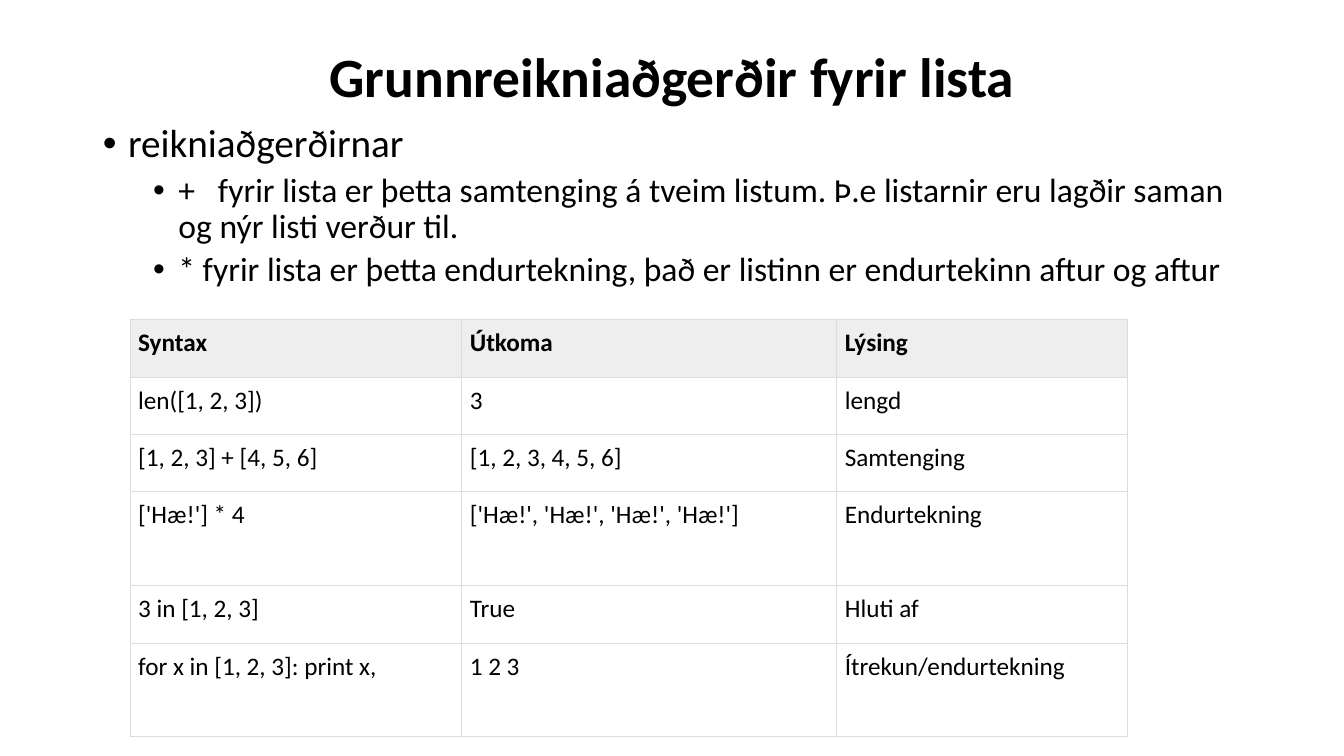
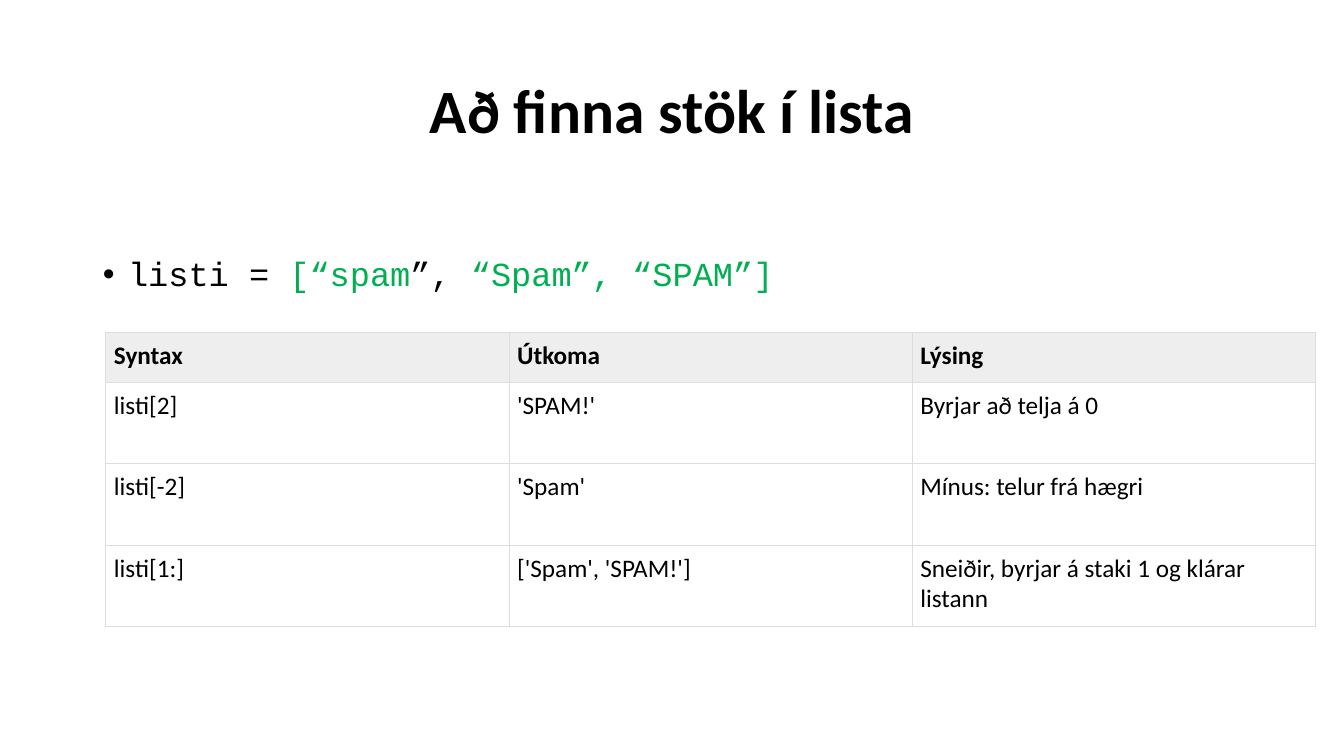
from lxml import etree
from pptx import Presentation
from pptx.dml.color import RGBColor
from pptx.enum.text import MSO_ANCHOR, MSO_AUTO_SIZE, PP_ALIGN
from pptx.oxml.ns import qn
from pptx.util import Inches, Pt

CENTER, LEFT = PP_ALIGN.CENTER, PP_ALIGN.LEFT
MIDDLE, TOP = MSO_ANCHOR.MIDDLE, MSO_ANCHOR.TOP
NO_FIT = MSO_AUTO_SIZE.NONE

COLORS = {"text": "000000", "code": "00B050", "header": "EEEEEE", "border": "DDDDDD"}
SANS, MONO = "Calibri", "Courier New"
TITLE_AND_CONTENT = 1
PAD = Inches(0.08)
# Left edge and width of the text column, in percent of the slide width
TEXT_LEFT, TEXT_WIDTH = 6.9, 86.25
# Per list level: left indent (inches) and space before (points)
LEVELS = [(0.25, 10), (0.75, 5)]
HEADINGS = ["Syntax", "Útkoma", "Lýsing"]

prs = Presentation()
prs.slide_width, prs.slide_height = Inches(13.33), Inches(7.5)


def to_emu(box):
    """Turn left, top, width, height in percent of the slide into lengths."""
    sides = (prs.slide_width, prs.slide_height) * 2
    return [int(side * share / 100) for side, share in zip(sides, box)]


def set_all(obj, values):
    for name, value in values.items():
        setattr(obj, name, value)


def add_run(p, text, size, font=SANS, color="text", bold=False):
    r = p.add_run()
    r.text = text
    set_all(r.font, {"name": font, "size": Pt(size), "bold": bold})
    r.font.color.rgb = RGBColor.from_string(COLORS[color])


def place(sp, box, anchor):
    names = ("left", "top", "width", "height")
    set_all(sp, dict(zip(names, to_emu(box))))
    tf = sp.text_frame
    set_all(tf, {"word_wrap": True, "auto_size": NO_FIT, "vertical_anchor": anchor})
    return tf


def add_title(slide, text, size, height):
    tf = place(slide.shapes.title, (TEXT_LEFT, 5.33, TEXT_WIDTH, height), MIDDLE)
    p = tf.paragraphs[0]
    set_all(p, {"alignment": CENTER, "line_spacing": 0.9})
    add_run(p, text, size, bold=True)


def add_list(slide, items, top, height):
    """Each item is a level, a size, a font and a list of (text, colour)."""
    tf = place(slide.placeholders[1], (TEXT_LEFT, top, TEXT_WIDTH, height), TOP)
    for i, (level, size, font, parts) in enumerate(items):
        p = tf.add_paragraph() if i else tf.paragraphs[0]
        indent, before = LEVELS[level]
        set_all(p, {"level": level, "alignment": LEFT, "line_spacing": 0.9,
                    "space_before": Pt(before), "space_after": Pt(0)})
        pPr = p._p.get_or_add_pPr()
        pPr.set("marL", str(Inches(indent)))
        pPr.set("indent", str(-Inches(0.25)))
        etree.SubElement(pPr, qn("a:buFont"), typeface="Arial")
        etree.SubElement(pPr, qn("a:buChar"), char="•")
        for text, color in parts:
            add_run(p, text, size, font, color)


def add_borders(cell):
    tcPr = cell._tc.get_or_add_tcPr()
    for side in ("a:lnL", "a:lnR", "a:lnT", "a:lnB"):
        ln = etree.SubElement(tcPr, qn(side), w=str(Pt(0.75)))
        fill = etree.SubElement(ln, qn("a:solidFill"))
        etree.SubElement(fill, qn("a:srgbClr"), val=COLORS["border"])


def add_syntax_table(slide, box, col_weights, row_weights, rows):
    """Share the box among columns and rows by weight."""
    rows = [HEADINGS] + rows
    left, top, width, height = to_emu(box)
    table = slide.shapes.add_table(len(rows), len(HEADINGS),
                                   left, top, width, height).table
    set_all(table, {"first_row": False, "horz_banding": False})
    for col, weight in zip(table.columns, col_weights):
        col.width = int(width * weight / sum(col_weights))
    for row, weight in zip(table.rows, row_weights):
        row.height = int(height * weight / sum(row_weights))
    for y, texts in enumerate(rows):
        for x, text in enumerate(texts):
            cell = table.cell(y, x)
            set_all(cell, {"margin_left": PAD, "margin_right": PAD, "margin_top": PAD,
                           "margin_bottom": PAD, "vertical_anchor": TOP})
            add_run(cell.text_frame.paragraphs[0], text, 18, bold=y == 0)
            add_borders(cell)
            if y == 0:
                cell.fill.solid()
                cell.fill.fore_color.rgb = RGBColor.from_string(COLORS["header"])
            else:
                cell.fill.background()


def add_slide():
    return prs.slides.add_slide(prs.slide_layouts[TITLE_AND_CONTENT])


def operations_slide():
    slide = add_slide()
    add_title(slide, "Grunnreikniaðgerðir fyrir lista", 39.6, 10.4)
    add_list(slide, [
        (0, 28, SANS, [("reikniaðgerðirnar", "text")]),
        (1, 24, SANS, [("+   fyrir lista er þetta samtenging á tveim listum. "
                        "Þ.e listarnir eru lagðir saman og nýr listi verður til.",
                        "text")]),
        (1, 24, SANS, [("* fyrir lista er þetta endurtekning, það er listinn "
                        "er endurtekinn aftur og aftur", "text")]),
    ], 15.73, 74.27)
    add_syntax_table(slide, (9.68, 42.27, 74.19, 55.2),
                     [329, 372, 288], [57, 57, 57, 93, 57, 93], [
        ["len([1, 2, 3])", "3", "lengd"],
        ["[1, 2, 3] + [4, 5, 6]", "[1, 2, 3, 4, 5, 6]", "Samtenging"],
        ["['Hæ!'] * 4", "['Hæ!', 'Hæ!', 'Hæ!', 'Hæ!']", "Endurtekning"],
        ["3 in [1, 2, 3]", "True", "Hluti af"],
        ["for x in [1, 2, 3]: print x,", "1 2 3", "Ítrekun/endurtekning"],
    ])


def indexing_slide():
    slide = add_slide()
    add_title(slide, "Að finna stök í lista", 44, 19.33)
    add_list(slide, [
        (0, 24, MONO, [("listi = ", "text"), ("[“spam", "code"), ("”, ", "text"),
                       ("“Spam”, “SPAM”]", "code")]),
    ], 33.4, 56.8)
    add_syntax_table(slide, (7.88, 44, 90, 38.9), [1, 1, 1], [49, 81, 81, 81], [
        ["listi[2]", "'SPAM!'", "Byrjar að telja á 0"],
        ["listi[-2]", "'Spam'", "Mínus: telur frá hægri"],
        ["listi[1:]", "['Spam', 'SPAM!']",
         "Sneiðir, byrjar á staki 1 og klárar listann"],
    ])


operations_slide()
indexing_slide()
prs.save("out.pptx")
